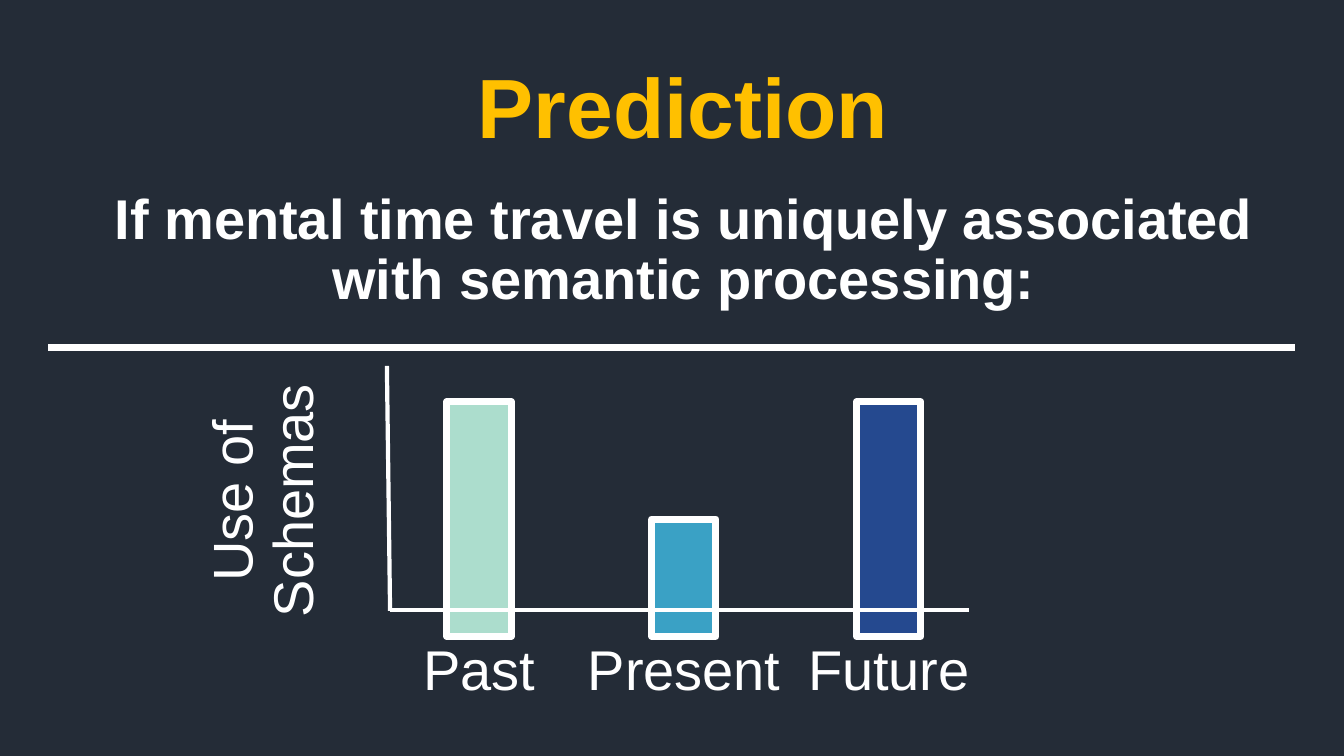
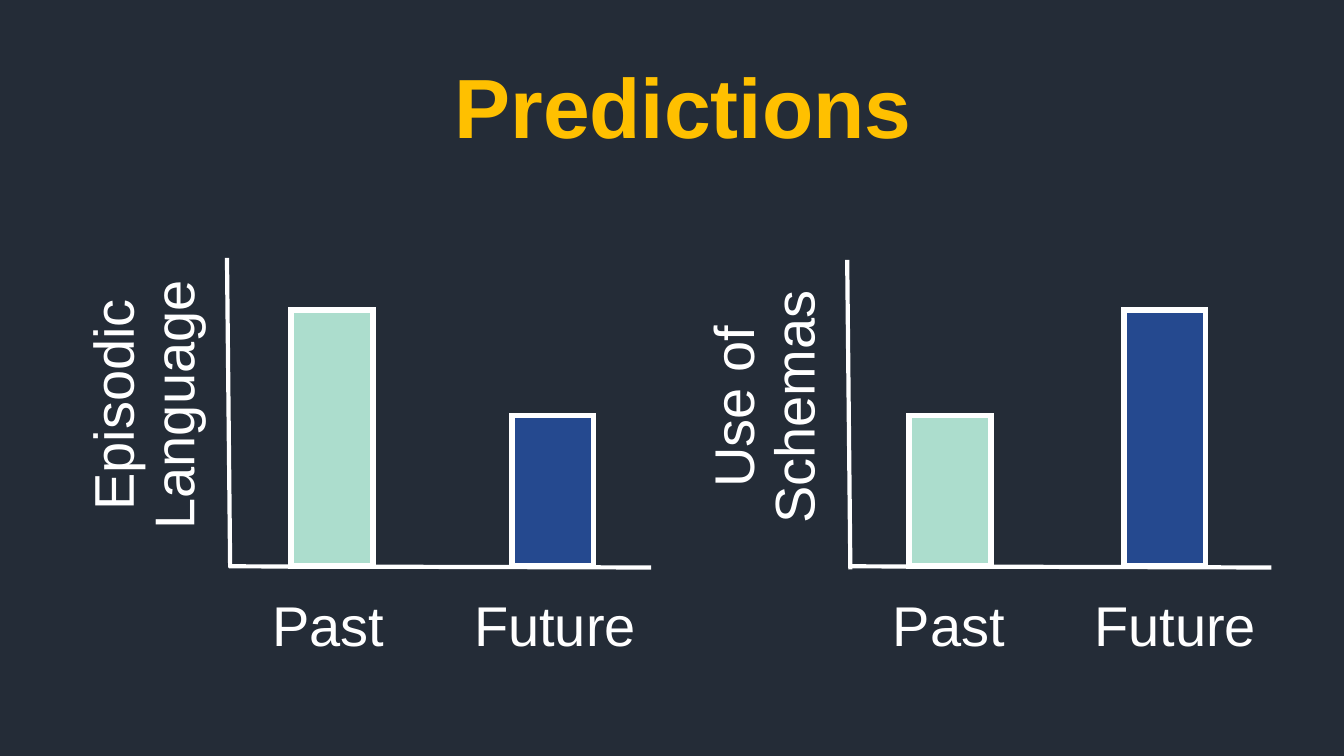
import pptx
import pptx.chart.data
import pptx.dml.color
import pptx.enum.chart
import pptx.enum.shapes
import pptx.enum.text
import pptx.oxml.ns
import pptx.util
from lxml import etree
from pptx.util import Cm, Pt

COLORS = {
    "background": "242C37",
    "title": "FFC000",
    "text": "FFFFFF",
    "past": "ACDDCD",
    "present": "3AA1C5",
    "future": "25498F",
}
FONT = "Arial"
CHART_FONT = "Calibri"
TITLE_SIZE, TEXT_SIZE = 60, 40
AXIS_WIDTH = 3


def rgb(name):
    return pptx.dml.color.RGBColor.from_string(COLORS[name])


def add_element(parent, tag, **attributes):
    return etree.SubElement(parent, pptx.oxml.ns.qn(tag), **attributes)


class Deck:
    """Holds the shared style and the slide being built."""

    def __init__(self):
        self.presentation = pptx.Presentation()
        self.presentation.slide_width = Cm(33.87)
        self.presentation.slide_height = Cm(19.05)
        self.slide = None

    def add_slide(self, title):
        self.slide = self.presentation.slides.add_slide(self.presentation.slide_layouts[6])
        self.slide.background.fill.solid()
        self.slide.background.fill.fore_color.rgb = rgb("background")
        self.text(title, 0.28, 0.71, 33.87, 4.19, size=TITLE_SIZE, color="title", bold=True)

    def text(self, words, left, top, width, height, size=TEXT_SIZE, color="text",
             bold=False, centered=True):
        box = self.slide.shapes.add_textbox(Cm(left), Cm(top), Cm(width), Cm(height))
        frame = box.text_frame
        frame.word_wrap = True
        paragraph = frame.paragraphs[0]
        if centered:
            frame.vertical_anchor = pptx.enum.text.MSO_ANCHOR.MIDDLE
            paragraph.alignment = pptx.enum.text.PP_ALIGN.CENTER
            paragraph.line_spacing = 0.9
        run = paragraph.add_run()
        run.text = words
        run.font.name = FONT
        run.font.size = Pt(size)
        run.font.bold = bold
        run.font.color.rgb = rgb(color)
        return box

    def axis_title(self, words, left, top):
        box = self.text(words, left, top, 6.32, 8.41)
        box.text_frame._txBody.bodyPr.set("vert", "vert270")

    def category_labels(self, words, left, top, tab):
        box = self.text("\t".join(words), left, top, 9.75, 1.96, centered=False)
        properties = box.text_frame.paragraphs[0]._p.get_or_add_pPr()
        tabs = add_element(properties, "a:tabLst")
        add_element(tabs, "a:tab", pos=str(Cm(tab)), algn="l")

    def line(self, start, end, width=AXIS_WIDTH):
        connector = self.slide.shapes.add_connector(
            pptx.enum.shapes.MSO_CONNECTOR.STRAIGHT, *map(Cm, (*start, *end)))
        connector.line.color.rgb = rgb("text")
        connector.line.width = Pt(width)
        add_element(connector._element.spPr, "a:effectLst")

    def bar(self, left, base, height, color):
        shape = self.slide.shapes.add_shape(
            pptx.enum.shapes.MSO_SHAPE.RECTANGLE,
            Cm(left), Cm(base - height), Cm(2.06), Cm(height))
        shape.shadow.inherit = False
        shape.fill.solid()
        shape.fill.fore_color.rgb = rgb(color)
        shape.line.color.rgb = rgb("text")
        shape.line.width = Pt(4)
        add_element(shape.line._get_or_add_ln(), "a:miter", lim="800000")

    def column_chart(self, values, left, top, width, height):
        data = pptx.chart.data.CategoryChartData()
        data.categories = [name.capitalize() for name in values]
        data.add_series("Series 1", list(values.values()))
        chart = self.slide.shapes.add_chart(
            pptx.enum.chart.XL_CHART_TYPE.COLUMN_CLUSTERED,
            Cm(left), Cm(top), Cm(width), Cm(height), data).chart
        chart.has_legend = False
        chart.has_title = False
        chart.font.name = CHART_FONT
        chart.font.size = Pt(10)
        chart.font.color.rgb = rgb("text")

        # Axes
        chart.value_axis.visible = False
        chart.value_axis.has_major_gridlines = False
        chart.value_axis.minimum_scale = 0
        chart.value_axis.maximum_scale = 120
        axis = chart.category_axis
        axis.major_tick_mark = pptx.enum.chart.XL_TICK_MARK.NONE
        axis.format.line.color.rgb = rgb("background")
        axis.format.line.width = Pt(0.75)
        axis.tick_labels.font.name = FONT
        axis.tick_labels.font.size = Pt(TEXT_SIZE)
        axis.tick_labels.font.color.rgb = rgb("text")

        # Columns
        plot = chart.plots[0]
        plot.vary_by_categories = False
        plot.gap_width = 219
        plot.overlap = -27
        for index, name in enumerate(values):
            column = plot.series[0].points[index].format
            column.fill.solid()
            column.fill.fore_color.rgb = rgb(name)
            column.line.color.rgb = rgb("text")
            column.line.width = Pt(5)

    def bar_panel(self, title, left, top, bars):
        """Draws a hand-made bar graph; each bar is (offset, height, colour)."""
        base = 14.27
        for offset, height, color in bars:
            self.bar(left + offset, base, height, color)
        self.category_labels(["Past", "Future"], left + 0.9, 14.76, tab=5.08)
        self.line((left, top), (left + 0.08, top + 7.8))
        self.line((left + 0.05, base), (left + 10.69, base + 0.03))
        self.axis_title(title, left - 5.2, top - 0.5)


def main():
    deck = Deck()

    # Single prediction
    deck.add_slide("Prediction")
    deck.text("If mental time travel is uniquely associated with semantic processing:",
              1.78, 4.29, 30.89, 4.09, bold=True)
    deck.column_chart({"past": 100, "present": 50, "future": 100}, 9.17, 8.76, 16.13, 9.12)
    deck.line((9.75, 9.22), (9.83, 15.39))
    deck.line((9.83, 15.37), (24.43, 15.37))
    deck.axis_title("Use of Schemas", 3.51, 8.41)
    deck.line((1.22, 8.76), (32.64, 8.76), width=4.5)

    # Two predictions side by side
    tall, short = 6.45, 3.8
    deck.add_slide("Predictions")
    deck.bar_panel("Episodic Language", 5.72, 6.5,
                   [(1.62, tall, "past"), (7.18, short, "future")])
    deck.bar_panel("Use of Schemas", 21.35, 6.55,
                   [(1.56, short, "past"), (6.97, tall, "future")])

    deck.presentation.save("out.pptx")


if __name__ == "__main__":
    main()
